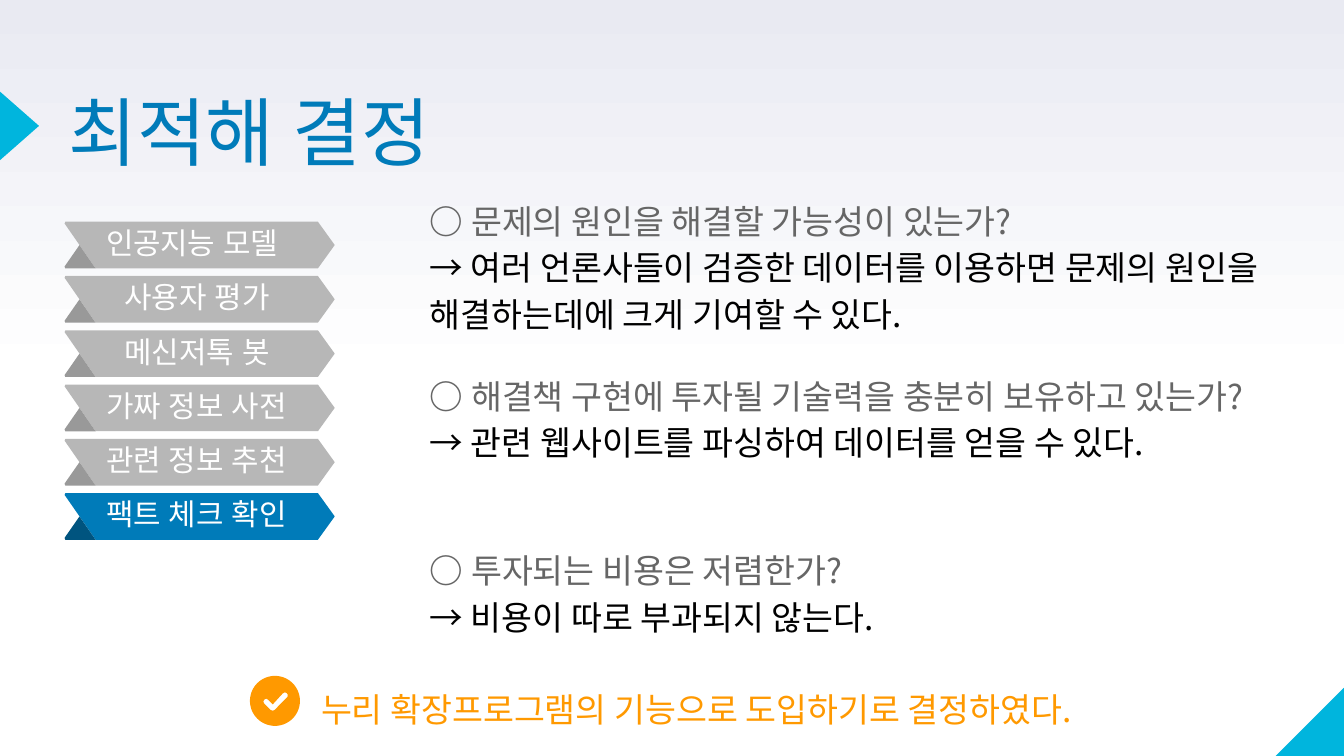
from copy import deepcopy
from dataclasses import dataclass
from math import cos, pi, sin

from pptx import Presentation
from pptx.dml.color import RGBColor
from pptx.enum.shapes import MSO_SHAPE
from pptx.enum.text import MSO_ANCHOR
from pptx.oxml.ns import qn
from pptx.util import Pt


@dataclass(frozen=True)
class Theme:
    blue: str = "007BB9"
    dark_blue: str = "00547F"
    cyan: str = "00B5DD"
    gray: str = "B7B7B7"
    dark_gray: str = "999999"
    question: str = "666666"
    answer: str = "000000"
    orange: str = "FF9900"
    white: str = "FFFFFF"
    haze: str = "E9EAF2"
    title_size: int = 40
    body_size: int = 18
    label_size: int = 16
    title_font: str = "Roboto"
    label_font: str = "Arial"
    body_font: str = "Noto Sans CJK KR"


@dataclass(frozen=True)
class Option:
    label: str
    label_left: float
    chosen: bool = False


@dataclass(frozen=True)
class Criterion:
    question: str
    answer: str


@dataclass(frozen=True)
class Piece:
    text: str
    color: str
    bold: bool = False


THEME = Theme()
OPTIONS = [
    Option("인공지능 모델", 56.8),
    Option("사용자 평가", 66.8),
    Option("메신저톡 봇", 66.8),
    Option("가짜 정보 사전", 56.8),
    Option("관련 정보 추천", 56.8),
    Option("팩트 체크 확인", 56.8, chosen=True),
]
CRITERIA = [
    Criterion("문제의 원인을 해결할 가능성이 있는가?",
              "여러 언론사들이 검증한 데이터를 이용하면 문제의 원인을 해결하는데에 크게 기여할 수 있다."),
    Criterion("해결책 구현에 투자될 기술력을 충분히 보유하고 있는가?",
              "관련 웹사이트를 파싱하여 데이터를 얻을 수 있다."),
    Criterion("투자되는 비용은 저렴한가?", "비용이 따로 부과되지 않는다."),
]
RIBBON_TOP, RIBBON_STEP = 118.8, 29.08
RIBBON = [(35, 0), (170.3, 0), (179.3, 12.5), (170.3, 25), (51.2, 25), (42.6, 12.5), (34.6, 1)]
FOLD = [(42.6, 12.5), (51.2, 25), (35, 25), (34.6, 24)]
CHECK = [(152.6, 370.9), (153.6, 371.3), (154.2, 372.2), (154, 373.4), (147.2, 380.3),
         (146.2, 380.8), (145, 380.4), (141.5, 376.9), (141.1, 375.8), (141.7, 374.7),
         (142.7, 374.3), (143.6, 374.9), (146.1, 377.4), (151.4, 371.6)]


def paint(shape, color: str) -> None:
    shape.shadow.inherit = False
    shape.fill.solid()
    shape.fill.fore_color.rgb = RGBColor.from_string(color)
    shape.line.fill.background()


def add_outline(shapes, contours: list, color: str, top: float = 0) -> None:
    builder = None
    for contour in contours:
        start, *rest = [(Pt(x), Pt(y + top)) for x, y in contour]
        if builder is None:
            builder = shapes.build_freeform(*start)
        else:
            builder.move_to(*start)
        builder.add_line_segments(rest, close=True)
    paint(builder.convert_to_shape(), color)


def add_text(slide, paragraphs: list[list[Piece]], *, left: float, top: float, width: float,
             height: float, size: int, font: str, spacing: float,
             inset: tuple[float, float] = (0, 0), anchor=MSO_ANCHOR.TOP) -> None:
    frame = slide.shapes.add_textbox(Pt(left), Pt(top), Pt(width), Pt(height)).text_frame
    frame.word_wrap = True
    frame.vertical_anchor = anchor
    frame.margin_left = frame.margin_right = Pt(inset[0])
    frame.margin_top = frame.margin_bottom = Pt(inset[1])
    for index, pieces in enumerate(paragraphs):
        paragraph = frame.add_paragraph() if index else frame.paragraphs[0]
        paragraph.line_spacing = spacing
        for piece in pieces:
            run = paragraph.add_run()
            run.text = piece.text
            run.font.name = font
            run.font.size = Pt(size)
            run.font.bold = piece.bold
            run.font.color.rgb = RGBColor.from_string(piece.color)
            east_asian = run.font._element.makeelement(qn("a:ea"), {"typeface": font})
            run.font._element.append(east_asian)


def add_backdrop(slide) -> None:
    fill = slide.background.fill
    fill.gradient()
    fill.gradient_angle = 90
    for stop, color in zip(fill.gradient_stops, (THEME.white, THEME.haze)):
        stop.color.rgb = RGBColor.from_string(color)
    first = slide.background._cSld.xpath(".//a:gs")[0]
    middle = deepcopy(first)
    middle.set("pos", "50000")
    first.addnext(middle)

    corner = slide.shapes.add_shape(MSO_SHAPE.RIGHT_TRIANGLE, Pt(683.5), Pt(368.5), Pt(36.5), Pt(36.5))
    corner._element.spPr.xfrm.set("flipH", "1")
    paint(corner, THEME.cyan)
    pointer = slide.shapes.add_shape(MSO_SHAPE.ISOSCELES_TRIANGLE, Pt(-7.9), Pt(57), Pt(36.7), Pt(20.9))
    pointer.rotation = 90
    paint(pointer, THEME.cyan)


def add_option(slide, option: Option, top: float) -> None:
    face, fold = (THEME.blue, THEME.dark_blue) if option.chosen else (THEME.gray, THEME.dark_gray)
    ribbon = slide.shapes.add_group_shape()
    add_outline(ribbon.shapes, [RIBBON], face, top)
    add_outline(ribbon.shapes, [FOLD], fold, top)
    add_text(slide, [[Piece(option.label, THEME.white)]], left=option.label_left, top=top + 5.8,
             width=106, height=14.4, size=THEME.label_size, font=THEME.label_font,
             spacing=0.8, anchor=MSO_ANCHOR.MIDDLE)


def add_body(slide, paragraphs: list[list[Piece]], left: float, top: float, height: float) -> None:
    add_text(slide, paragraphs, left=left, top=top, width=470, height=height,
             size=THEME.body_size, font=THEME.body_font, spacing=1.15, inset=(7.2, 3.6))


def main() -> None:
    deck = Presentation()
    deck.slide_width, deck.slide_height = Pt(720), Pt(405)
    slide = deck.slides.add_slide(deck.slide_layouts[6])
    add_backdrop(slide)
    add_text(slide, [[Piece("최적해 결정", THEME.blue)]], left=36.7, top=51.1, width=480,
             height=42.5, size=THEME.title_size, font=THEME.title_font, spacing=0.8,
             anchor=MSO_ANCHOR.BOTTOM)
    for row, option in enumerate(OPTIONS):
        add_option(slide, option, RIBBON_TOP + row * RIBBON_STEP)
    for row, criterion in enumerate(CRITERIA):
        question = [Piece("○ ", THEME.question, bold=True), Piece(criterion.question, THEME.question)]
        answer = [Piece(f"→ {criterion.answer}", THEME.answer)]
        add_body(slide, [question, answer], 223.2, 100.8 + row * 93.6, 36.7)
    add_body(slide, [[Piece("누리 확장프로그램의 기능으로 도입하기로 결정하였다.", THEME.orange)]],
             164.9, 362.2, 26.6)
    circle = [(147.3 + 13.4 * cos(step * pi / 36), 375.5 + 13.4 * sin(step * pi / 36))
              for step in range(72)]
    add_outline(slide.shapes, [circle, CHECK], THEME.orange)
    deck.save("out.pptx")


if __name__ == "__main__":
    main()
